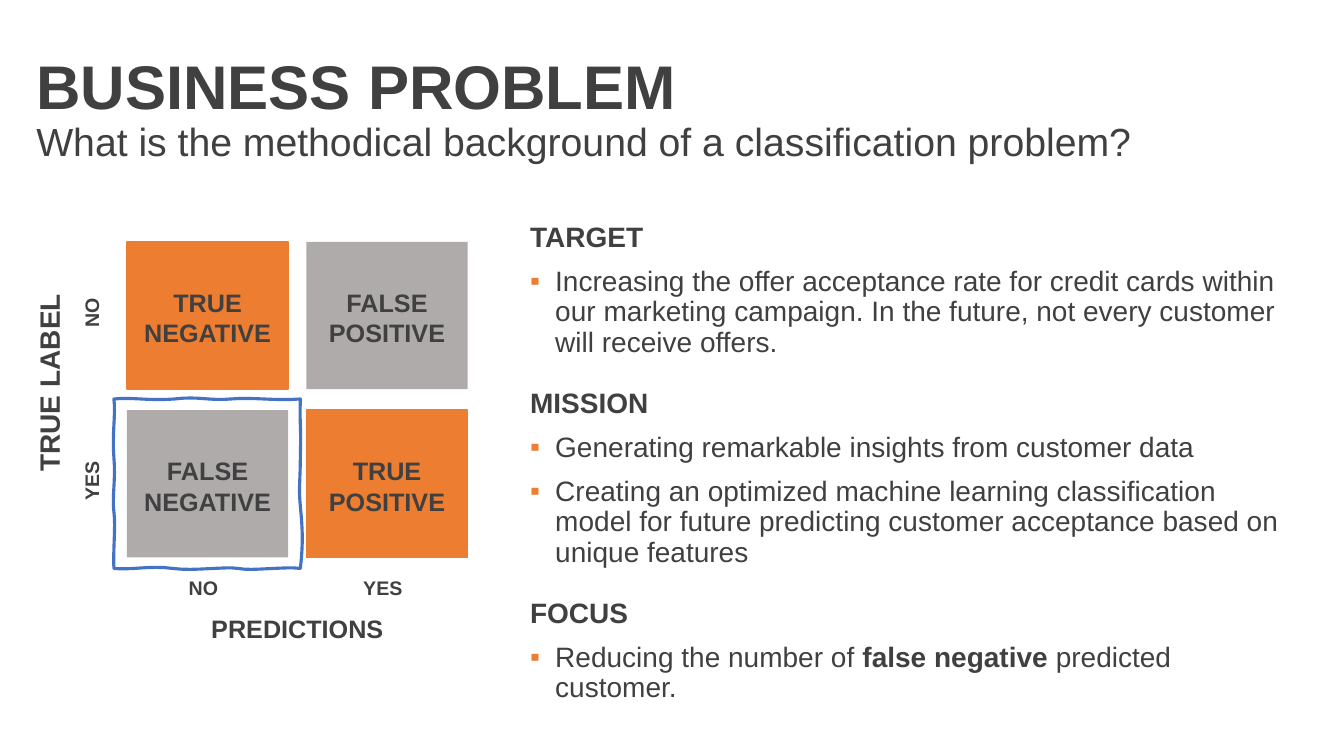
from dataclasses import dataclass

from lxml import etree
from pptx import Presentation
from pptx.dml.color import RGBColor
from pptx.enum.shapes import MSO_SHAPE
from pptx.enum.text import MSO_ANCHOR, PP_ALIGN
from pptx.oxml.ns import qn
from pptx.util import Pt

RECTANGLE = MSO_SHAPE.RECTANGLE
MIDDLE = MSO_ANCHOR.MIDDLE
LEFT, CENTER = PP_ALIGN.LEFT, PP_ALIGN.CENTER


@dataclass(frozen=True)
class Theme:
    font: str = "Arial"
    text: RGBColor = RGBColor(0x40, 0x40, 0x40)
    correct: RGBColor = RGBColor(0xED, 0x7D, 0x31)
    wrong: RGBColor = RGBColor(0xAF, 0xAB, 0xAB)
    highlight: RGBColor = RGBColor(0x44, 0x72, 0xC4)
    title: int = 44
    subtitle: int = 28
    body: int = 20
    cell: int = 18
    tick: int = 14


THEME = Theme()

SECTIONS = [
    ("TARGET", [[
        "Increasing the offer acceptance rate for credit cards within our marketing "
        "campaign. In the future, not every customer will receive offers."]]),
    ("MISSION", [
        ["Generating remarkable insights from customer data"],
        ["Creating an optimized machine learning classification model for future "
         "predicting customer acceptance based on unique features"]]),
    ("FOCUS", [["Reducing the number of ", "false negative ", "predicted customer."]]),
]

CELLS = [
    [("TRUE\nNEGATIVE", THEME.correct), ("FALSE\nPOSITIVE", THEME.wrong)],
    [("FALSE\nNEGATIVE", THEME.wrong), ("TRUE\nPOSITIVE", THEME.correct)],
]
TICKS = ["NO", "YES"]

SKETCH_CURVES = [
    [(11.5, -1.4), (25.9, 1.4), (43.2, 0)],
    [(59.8, -2.2), (68.4, 1.4), (83.5, 0)],
    [(98.6, -1.4), (115.2, 1.4), (133.2, 0)],
    [(132.5, 18.7), (133.9, 19.4), (133.2, 38.9)],
    [(133.2, 59), (131.8, 62.6), (133.2, 77)],
    [(134.6, 91.4), (135.4, 102.2), (133.2, 121)],
    [(121.7, 119.5), (98.6, 123.1), (88.6, 121)],
    [(79.2, 119.5), (57.6, 123.1), (41.8, 121)],
    [(25.9, 118.8), (11.5, 122.4), (0, 121)],
    [(-0.7, 108), (1.4, 91.4), (0, 80.6)],
    [(-1.4, 70.6), (1.4, 56.9), (0, 41.8)],
    [(-1.4, 25.9), (1.4, 10.1), (0, 0)],
]
CURVE_STEPS = 8
UNITS_PER_POINT = 100


def style_font(font, size, bold):
    font.name = THEME.font
    font.size = Pt(size)
    font.bold = bold
    font.color.rgb = THEME.text


def add_title(slide, left, top, width, height):
    title = slide.shapes.title
    title.left, title.top, title.width, title.height = map(Pt, (left, top, width, height))
    frame = title.text_frame
    frame.vertical_anchor = MIDDLE
    paragraph = frame.paragraphs[0]
    paragraph.alignment = LEFT
    paragraph.line_spacing = 0.9
    heading = paragraph.add_run()
    heading.text = "BUSINESS PROBLEM"
    style_font(heading.font, THEME.title, True)
    paragraph.add_line_break()
    question = paragraph.add_run()
    question.text = "What is the methodical background of a classification problem?"
    style_font(question.font, THEME.subtitle, False)


def add_bullet(paragraph):
    properties = paragraph._p.get_or_add_pPr()
    properties.set("marL", str(Pt(18)))
    properties.set("indent", str(-Pt(18)))
    color = etree.SubElement(properties, qn("a:buClr"))
    etree.SubElement(color, qn("a:srgbClr"), val=str(THEME.correct))
    etree.SubElement(properties, qn("a:buFont"), typeface=THEME.font)
    etree.SubElement(properties, qn("a:buChar"), char="▪")


def add_sections(slide, left, top, width, height):
    frame = slide.shapes.add_textbox(*map(Pt, (left, top, width, height))).text_frame
    frame.word_wrap = True
    frame.vertical_anchor = MIDDLE
    for index, (heading, bullets) in enumerate(SECTIONS):
        paragraph = frame.add_paragraph() if index else frame.paragraphs[0]
        paragraph.text = heading
        paragraph.line_spacing = 0.9
        paragraph.space_before = Pt(22 if index else 0)
        style_font(paragraph.font, THEME.body, True)
        for parts in bullets:
            paragraph = frame.add_paragraph()
            paragraph.line_spacing = 0.9
            paragraph.space_before = Pt(10)
            add_bullet(paragraph)
            style_font(paragraph.font, THEME.body, False)
            for position, part in enumerate(parts):
                run = paragraph.add_run()
                run.text = part
                if position % 2:
                    run.font.bold = True


def add_label(slide, text, center_x, center_y, size, rotation=0):
    width, height = 142, size * 1.6
    label = slide.shapes.add_textbox(
        Pt(center_x - width / 2), Pt(center_y - height / 2), Pt(width), Pt(height))
    label.rotation = rotation
    frame = label.text_frame
    frame.word_wrap = True
    frame.vertical_anchor = MIDDLE
    frame.margin_top = frame.margin_bottom = 0
    paragraph = frame.paragraphs[0]
    paragraph.text = text
    paragraph.alignment = CENTER
    style_font(paragraph.font, size, True)


def add_cell(slide, text, color, left, top, width, height):
    cell = slide.shapes.add_shape(RECTANGLE, *map(Pt, (left, top, width, height)))
    cell.shadow.inherit = False
    cell.fill.solid()
    cell.fill.fore_color.rgb = color
    if color == THEME.correct:
        cell.line.color.rgb = color
        cell.line.width = Pt(1)
    else:
        cell.line.fill.background()
    frame = cell.text_frame
    frame.text = text
    frame.vertical_anchor = MIDDLE
    frame.margin_top, frame.margin_bottom = Pt(3), 0
    for paragraph in frame.paragraphs:
        paragraph.alignment = CENTER
        style_font(paragraph.font, THEME.cell, True)


def bezier(controls, t):
    weights = ((1 - t) ** 3, 3 * t * (1 - t) ** 2, 3 * t ** 2 * (1 - t), t ** 3)
    return tuple(
        UNITS_PER_POINT * sum(weight * value for weight, value in zip(weights, axis))
        for axis in zip(*controls))


def add_sketch_frame(slide, left, top):
    points, start = [], (0, 0)
    for curve in SKETCH_CURVES:
        points += [bezier([start, *curve], step / CURVE_STEPS)
                   for step in range(1, CURVE_STEPS + 1)]
        start = curve[-1]
    builder = slide.shapes.build_freeform(0, 0, scale=Pt(1) / UNITS_PER_POINT)
    builder.add_line_segments(points, close=True)
    outline = builder.convert_to_shape(Pt(left), Pt(top))
    outline.shadow.inherit = False
    outline.fill.background()
    outline.line.color.rgb = THEME.highlight
    outline.line.width = Pt(2.25)


def add_confusion_matrix(slide, left, top, width, height):
    gap_x, gap_y = 13, 15
    cell_width, cell_height = (width - gap_x) / 2, (height - gap_y) / 2
    columns = [left, left + cell_width + gap_x]
    rows = [top, top + cell_height + gap_y]
    for y, row in zip(rows, CELLS):
        for x, (text, color) in zip(columns, row):
            add_cell(slide, text, color, x, y, cell_width, cell_height)
    for tick, x, y in zip(TICKS, columns, rows):
        add_label(slide, tick, x + cell_width / 2 - 3, top + height + 22, THEME.tick)
        add_label(slide, tick, left - 25.5, y + cell_height / 2 - 2, THEME.tick, 270)
    add_label(slide, "PREDICTIONS", left + width / 2, top + height + 51, THEME.cell)
    add_label(slide, "TRUE LABEL", left - 56, top + height / 2 - 12, THEME.body, 270)
    add_sketch_frame(slide, left - 9.3, rows[1] - 7.9)


def main():
    presentation = Presentation()
    presentation.slide_width, presentation.slide_height = Pt(960), Pt(540)
    slide = presentation.slides.add_slide(presentation.slide_layouts[5])
    add_title(slide, 18.7, 28.8, 875, 100)
    add_sections(slide, 371.5, 129, 562.3, 404)
    add_confusion_matrix(slide, 90.7, 172.8, 243.4, 225.3)
    presentation.save("out.pptx")


if __name__ == "__main__":
    main()
